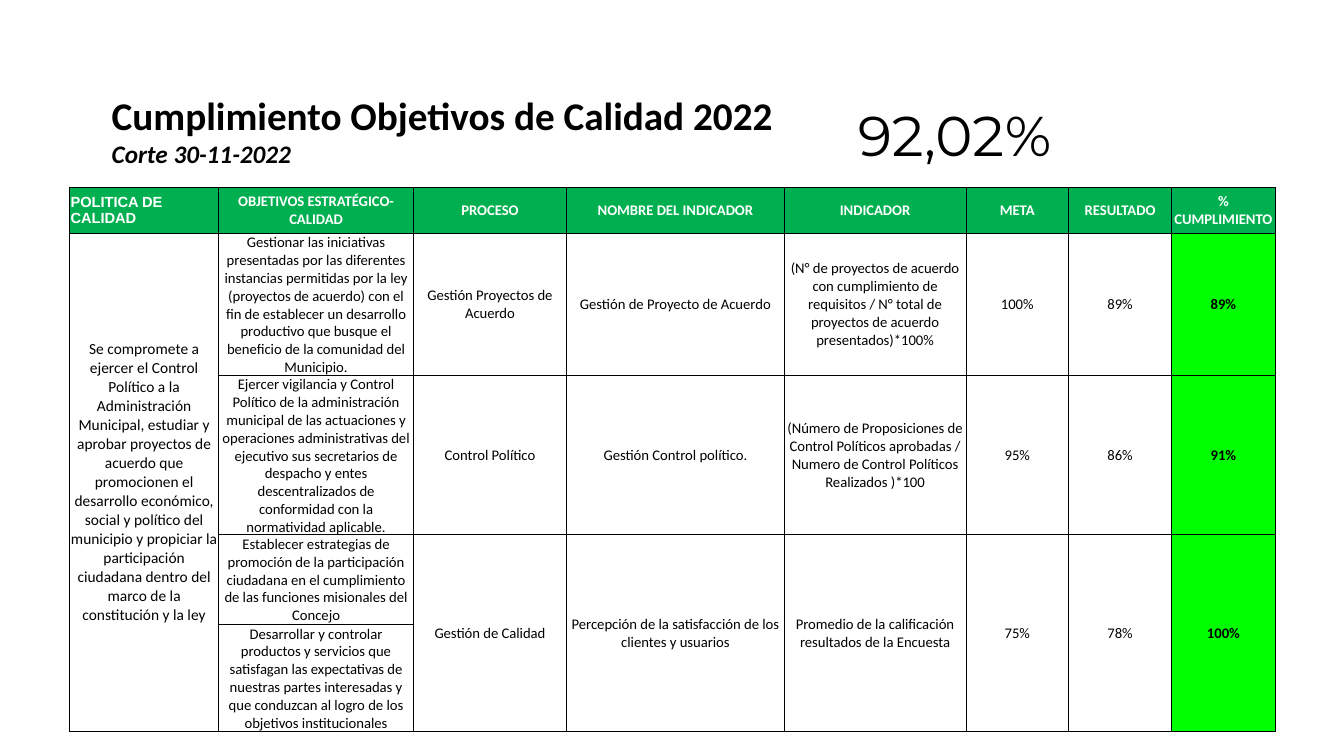
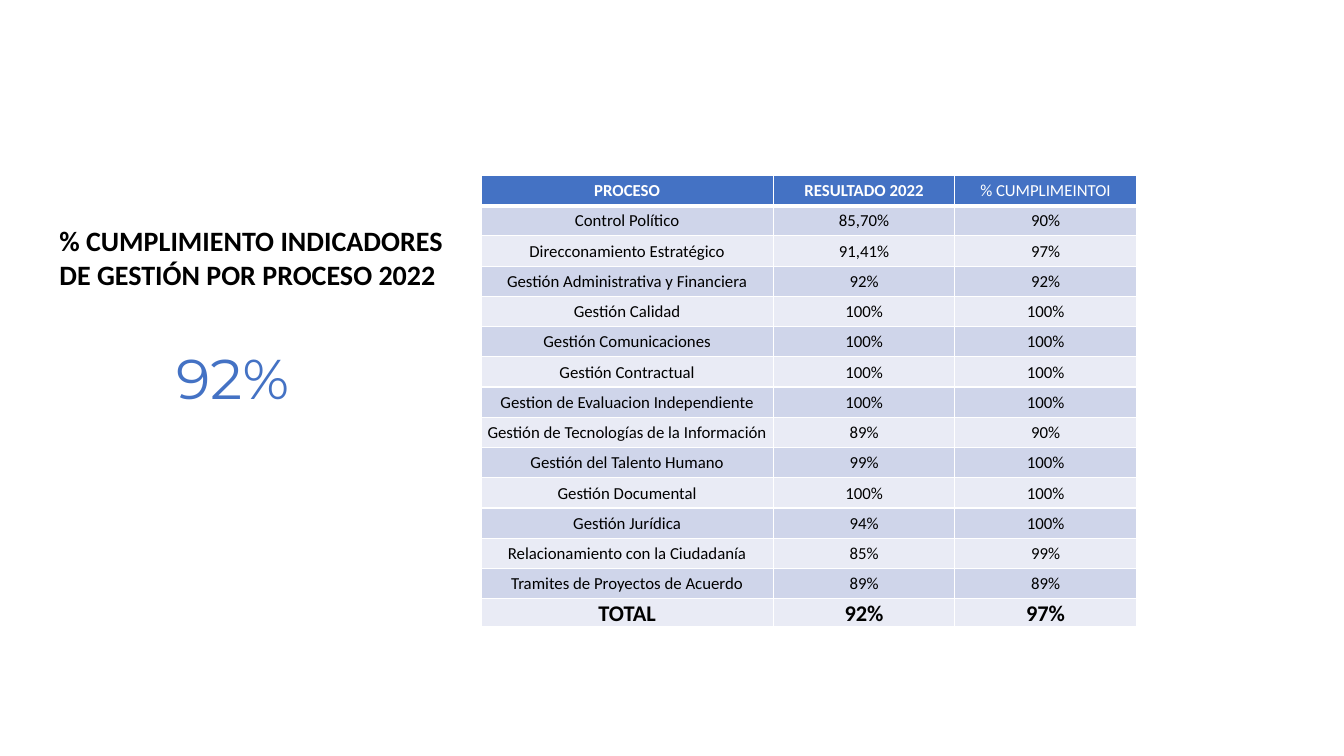
from pptx import Presentation
from pptx.dml.color import RGBColor
from pptx.enum.text import MSO_ANCHOR as Anchor, PP_ALIGN as Align
from pptx.oxml import parse_xml
from pptx.oxml.ns import nsdecls
from pptx.util import Inches, Pt

BLACK = RGBColor(0x00, 0x00, 0x00)
WHITE = RGBColor(0xFF, 0xFF, 0xFF)
GREEN = RGBColor(0x00, 0xB0, 0x50)
LIME = RGBColor(0x00, 0xFF, 0x00)
BLUE = RGBColor(0x44, 0x72, 0xC4)
BANDS = [RGBColor(0xE9, 0xEB, 0xF5), RGBColor(0xCF, 0xD5, 0xEA)]
BODY, BIG = "Calibri", "Montserrat"


def add_text(slide, box, lines):
    """Each line is text, size, font, color, bold, italic."""
    frame = slide.shapes.add_textbox(*[Inches(n) for n in box]).text_frame
    frame.word_wrap = True
    for i, (text, size, name, color, bold, slant) in enumerate(lines):
        para = frame.add_paragraph() if i else frame.paragraphs[0]
        para.text = text
        font = para.font
        font.size, font.name, font.color.rgb = Pt(size), name, color
        font.bold, font.italic = bold, slant


def add_grid(slide, left, top, cols, rows, data, style, edge):
    """style(row, col) gives size, font, color, bold, align, fill;
    edge(row, side) gives border color and width."""
    table = slide.shapes.add_table(
        len(rows), len(cols), Inches(left), Inches(top),
        Inches(sum(cols)), Inches(sum(rows))).table
    for col, width in zip(table.columns, cols):
        col.width = Inches(width)
    for row, height in zip(table.rows, rows):
        row.height = Inches(height)
    for r, texts in enumerate(data):
        for c, text in enumerate(texts):
            cell = table.cell(r, c)
            size, name, color, bold, align, fill = style(r, c)
            cell.margin_left = cell.margin_top = cell.margin_right = Inches(0.01)
            cell.margin_bottom = 0
            cell.vertical_anchor = Anchor.MIDDLE
            for side in "LRTB":
                ink, width = edge(r, side)
                cell._tc.get_or_add_tcPr().append(parse_xml(
                    f'<a:ln{side} {nsdecls("a")} w="{Pt(width)}"><a:solidFill>'
                    f'<a:srgbClr val="{ink}"/></a:solidFill></a:ln{side}>'))
            cell.fill.solid()
            cell.fill.fore_color.rgb = fill
            para = cell.text_frame.paragraphs[0]
            para.text = text
            para.alignment = align
            font = para.font
            font.size, font.name, font.color.rgb = Pt(size), name, color
            font.bold = bold
    return table


deck = Presentation()
deck.slide_width, deck.slide_height = Inches(13.33), Inches(7.5)
blank = deck.slide_layouts[6]

# Slide 1: quality goals
slide = deck.slides.add_slide(blank)
add_text(slide, (8.41, 0.95, 2.66, 0.77),
         [("92,02%", 40, BIG, BLACK, False, False)])
add_text(slide, (1.01, 0.86, 6.98, 0.91), [
    ("Cumplimiento Objetivos de Calidad 2022", 28, BODY, BLACK, True, False),
    ("Corte 30-11-2022", 18, BODY, BLACK, True, True)])

goals = [
    ["POLITICA DE CALIDAD", "OBJETIVOS ESTRATÉGICO-CALIDAD", "PROCESO",
     "NOMBRE DEL INDICADOR", "INDICADOR", "META", "RESULTADO",
     "% CUMPLIMIENTO"],
    ["Se compromete a ejercer el Control Político a la Administración "
     "Municipal, estudiar y aprobar proyectos de acuerdo que promocionen el "
     "desarrollo económico, social y político del municipio y propiciar la "
     "participación ciudadana dentro del marco de la constitución y la ley",
     "Gestionar las iniciativas presentadas por las diferentes instancias "
     "permitidas por la ley (proyectos de acuerdo) con el fin de establecer un "
     "desarrollo productivo que busque el beneficio de la comunidad del "
     "Municipio.",
     "Gestión Proyectos de Acuerdo", "Gestión de Proyecto de Acuerdo",
     "(N° de proyectos de acuerdo con cumplimiento de requisitos / N° total "
     "de proyectos de acuerdo presentados)*100%",
     "100%", "89%", "89%"],
    ["",
     "Ejercer vigilancia y Control Político de la administración municipal de "
     "las actuaciones y operaciones administrativas del ejecutivo sus "
     "secretarios de despacho y entes descentralizados de conformidad con la "
     "normatividad aplicable.",
     "Control Político", "Gestión Control político.",
     "(Número de Proposiciones de Control Políticos aprobadas / Numero de "
     "Control Políticos Realizados )*100",
     "95%", "86%", "91%"],
    ["",
     "Establecer estrategias de promoción de la participación ciudadana en el "
     "cumplimiento de las funciones misionales del Concejo",
     "Gestión de Calidad",
     "Percepción de la satisfacción de los clientes y usuarios",
     "Promedio de la calificación resultados de la Encuesta",
     "75%", "78%", "100%"],
    ["",
     "Desarrollar y controlar productos y servicios que satisfagan las "
     "expectativas de nuestras partes interesadas y que conduzcan al logro de "
     "los objetivos institucionales"] + [""] * 6,
]


def goal_style(r, c):
    if r == 0:
        return (10.5, BODY if c else "Arial", WHITE, True,
                Align.CENTER if c else Align.LEFT, GREEN)
    last = c == 7
    return (10.5 if c else 11, BODY, BLACK, last, Align.CENTER,
            LIME if last else WHITE)


table = add_grid(slide, 0.69, 1.86,
                 [1.48, 1.93, 1.52, 2.16, 1.8, 1.02, 1.02, 1.03],
                 [0.45, 1.41, 1.58, 0.89, 1.06], goals, goal_style,
                 lambda r, side: (BLACK, 0.5))
table.cell(1, 0).merge(table.cell(4, 0))
for c in range(2, 8):
    table.cell(3, c).merge(table.cell(4, c))

# Slide 2: results by process
slide = deck.slides.add_slide(blank)
add_text(slide, (0.49, 2.17, 4.08, 0.77), [
    ("% CUMPLIMIENTO INDICADORES DE GESTIÓN POR PROCESO 2022",
     20, BODY, BLACK, True, False)])

results = [
    ("PROCESO", "RESULTADO 2022", "% CUMPLIMEINTOI"),
    ("Control Político", "85,70%", "90%"),
    ("Direcconamiento Estratégico", "91,41%", "97%"),
    ("Gestión Administrativa y Financiera", "92%", "92%"),
    ("Gestión Calidad", "100%", "100%"),
    ("Gestión Comunicaciones", "100%", "100%"),
    ("Gestión Contractual", "100%", "100%"),
    ("Gestion de Evaluacion Independiente", "100%", "100%"),
    ("Gestión de Tecnologías de la Información", "89%", "90%"),
    ("Gestión del Talento Humano", "99%", "100%"),
    ("Gestión Documental", "100%", "100%"),
    ("Gestión Jurídica", "94%", "100%"),
    ("Relacionamiento con la Ciudadanía", "85%", "99%"),
    ("Tramites de Proyectos de Acuerdo", "89%", "89%"),
    ("TOTAL", "92%", "97%"),
]
total = len(results) - 1
add_grid(slide, 4.77, 1.74, [2.9, 1.8, 1.8], [0.3] * total + [0.28], results,
         lambda r, c: (16 if r == total else 12, BODY, BLACK if r else WHITE,
                       r == total or (r == 0 and c < 2), Align.CENTER,
                       BANDS[r % 2] if r else BLUE),
         lambda r, side: (WHITE, 3 if (r, side) in ((0, "B"), (1, "T")) else 1))
add_text(slide, (1.65, 3.36, 2.66, 0.77),
         [("92%", 40, BIG, BLUE, False, False)])

deck.save("out.pptx")
